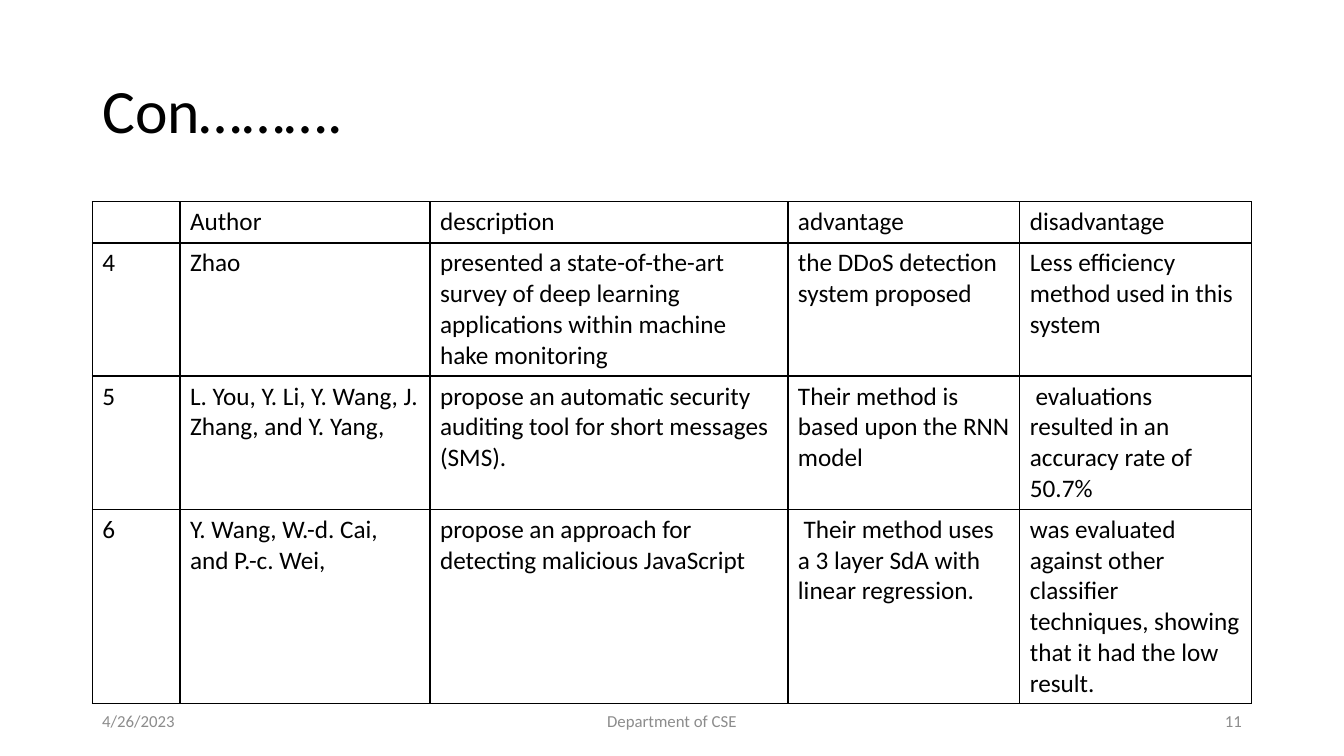
import pptx
import pptx.dml.color
import pptx.enum.text
import pptx.oxml
import pptx.oxml.ns
import pptx.util

TITLE = "Con………."
ROWS = [
    ("", "Author", "description", "advantage", "disadvantage"),
    ("4", "Zhao",
     "presented a state-of-the-art survey of deep learning applications within machine hake monitoring",
     "the DDoS detection system proposed",
     "Less efficiency method used in this system"),
    ("5", "L. You, Y. Li, Y. Wang, J. Zhang, and Y. Yang,",
     "propose an automatic security auditing tool for short messages (SMS).",
     "Their method is based upon the RNN model",
     " evaluations resulted in an accuracy rate of 50.7%"),
    ("6", "Y. Wang, W.-d. Cai, and P.-c. Wei,",
     "propose an approach for detecting malicious JavaScript",
     " Their method uses a 3 layer SdA with linear regression.",
     "was evaluated against other classifier techniques, showing that it had the low result."),
]
COLUMN_WIDTHS = (0.87, 2.48, 3.55, 2.3, 2.3)
ROW_HEIGHT = 0.41

ALIGN = pptx.enum.text.PP_ALIGN
MIDDLE = pptx.enum.text.MSO_ANCHOR.MIDDLE
# text, width, share of the free space to its left, alignment
FOOTERS = [
    ("4/26/2023", 3, 0, ALIGN.LEFT),
    ("Department of CSE", 4.5, 0.5, ALIGN.CENTER),
    ("11", 3, 1, ALIGN.RIGHT),
]
SLIDE_WIDTH, SLIDE_HEIGHT = 13.33, 7.5
CONTENT_WIDTH = sum(COLUMN_WIDTHS)
MARGIN = (SLIDE_WIDTH - CONTENT_WIDTH) / 2
BLACK, GREY = "000000", "8C8C8C"


def inches(*lengths):
    return [pptx.util.Inches(length) for length in lengths]


def set_font(paragraph, size, color):
    paragraph.font.name = "Calibri"
    paragraph.font.size = pptx.util.Pt(size)
    paragraph.font.color.rgb = pptx.dml.color.RGBColor.from_string(color)


def add_borders(cell, color, width):
    properties = cell._tc.get_or_add_tcPr()
    for side in "LRTB":
        properties.append(pptx.oxml.parse_xml(
            f'<a:ln{side} {pptx.oxml.ns.nsdecls("a")} w="{pptx.util.Pt(width)}">'
            f'<a:solidFill><a:srgbClr val="{color}"/></a:solidFill></a:ln{side}>'))


def add_title(slide):
    title = slide.shapes.title
    title.left, title.top, title.width, title.height = inches(MARGIN, 0.4, CONTENT_WIDTH, 1.45)
    title.text_frame.text = TITLE
    title.text_frame.auto_size = pptx.enum.text.MSO_AUTO_SIZE.NONE
    title.text_frame.vertical_anchor = MIDDLE
    paragraph = title.text_frame.paragraphs[0]
    paragraph.alignment = ALIGN.LEFT
    paragraph.line_spacing = 0.9
    set_font(paragraph, 44, BLACK)


def add_survey_table(slide):
    table = slide.shapes.add_table(
        len(ROWS), len(COLUMN_WIDTHS),
        *inches(MARGIN, 2, CONTENT_WIDTH, ROW_HEIGHT * len(ROWS))).table
    table.first_row = table.horz_banding = False
    for column, width in zip(table.columns, inches(*COLUMN_WIDTHS)):
        column.width = width
    for row, texts in zip(table.rows, ROWS):
        for cell, text in zip(row.cells, texts):
            cell.text = text
            set_font(cell.text_frame.paragraphs[0], 18, BLACK)
            add_borders(cell, BLACK, 1)
            cell.fill.background()


def add_footers(slide):
    for text, width, share, alignment in FOOTERS:
        left = MARGIN + share * (CONTENT_WIDTH - width)
        frame = slide.shapes.add_textbox(*inches(left, 6.95, width, 0.4)).text_frame
        frame.word_wrap = True
        frame.vertical_anchor = MIDDLE
        frame.text = text
        frame.paragraphs[0].alignment = alignment
        set_font(frame.paragraphs[0], 12, GREY)


def main():
    presentation = pptx.Presentation()
    presentation.slide_width, presentation.slide_height = inches(SLIDE_WIDTH, SLIDE_HEIGHT)
    slide = presentation.slides.add_slide(presentation.slide_layouts.get_by_name("Title Only"))
    add_title(slide)
    add_survey_table(slide)
    add_footers(slide)
    presentation.save("out.pptx")


if __name__ == "__main__":
    main()
